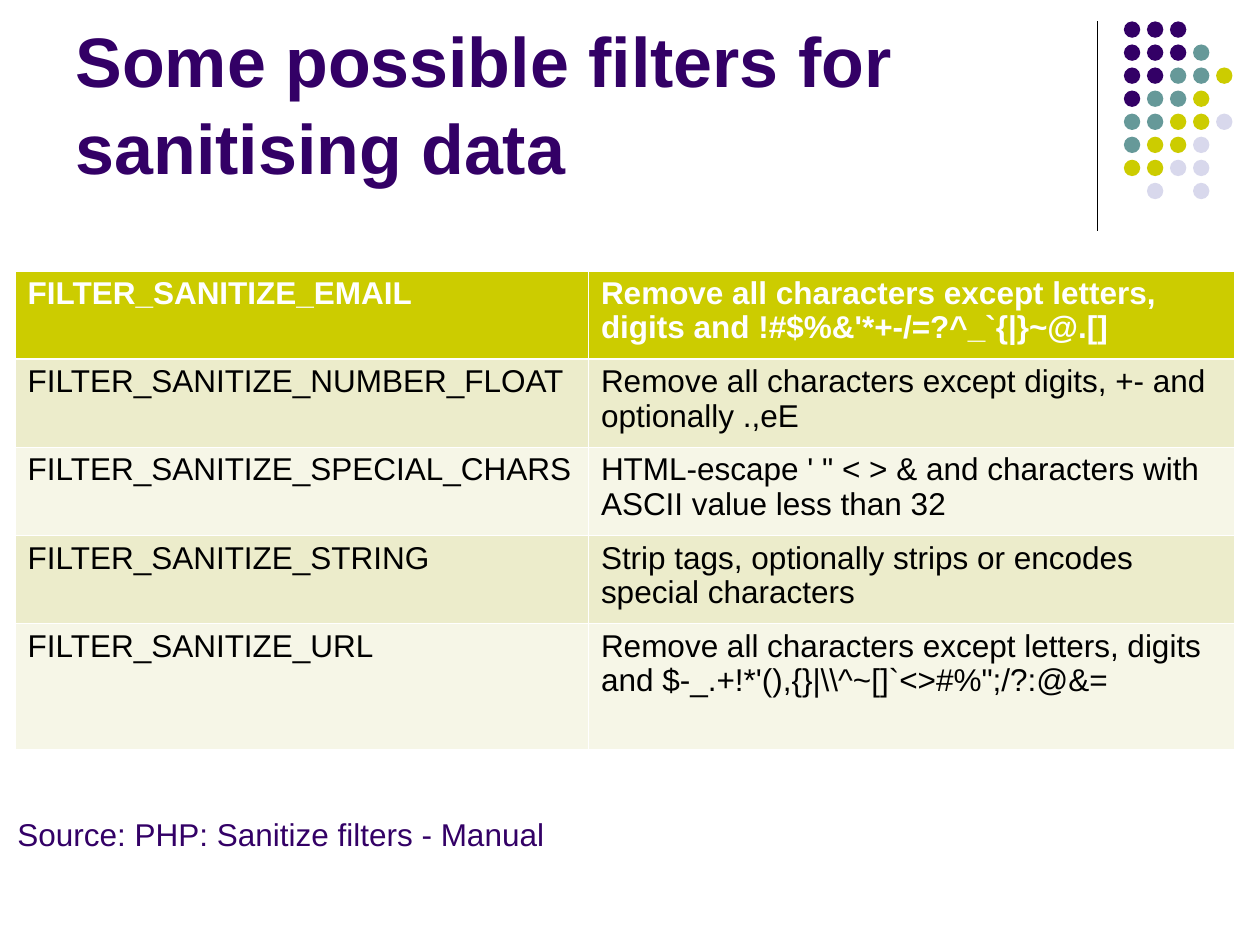
from lxml import etree
from pptx import Presentation
from pptx.dml.color import RGBColor
from pptx.enum.shapes import MSO_CONNECTOR, MSO_SHAPE
from pptx.enum.text import MSO_ANCHOR, PP_ALIGN
from pptx.oxml.ns import qn
from pptx.util import Inches, Pt

STRAIGHT = MSO_CONNECTOR.STRAIGHT
OVAL = MSO_SHAPE.OVAL
BOTTOM = MSO_ANCHOR.BOTTOM
LEFT = PP_ALIGN.LEFT

PURPLE, TEAL, OLIVE, LILAC = "330066", "669999", "CCCC00", "D8D8EC"
WHITE, BLACK = "FFFFFF", "000000"
BANDS = ["ECECCB", "F6F6E7"]

# One letter per dot, a space where the grid is empty
DOT_ROWS = ["PPP", "PPPT", "PPTTO", "PTTO", "TTOOL", "TOOL", "OOLL", " L L"]
DOT_COLOURS = {"P": PURPLE, "T": TEAL, "O": OLIVE, "L": LILAC}

FILTERS = [
    ("FILTER_SANITIZE_EMAIL",
     "Remove all characters except letters, digits and !#$%&'*+-/=?^_`{|}~@.[]"),
    ("FILTER_SANITIZE_NUMBER_FLOAT",
     "Remove all characters except digits, +- and optionally .,eE"),
    ("FILTER_SANITIZE_SPECIAL_CHARS",
     "HTML-escape ' \" < > & and characters with ASCII value less than 32"),
    ("FILTER_SANITIZE_STRING",
     "Strip tags, optionally strips or encodes special characters"),
    ("FILTER_SANITIZE_URL",
     "Remove all characters except letters, digits and "
     "$-_.+!*'(),{}|\\\\^~[]`<>#%\";/?:@&="),
]


def rgb(colour):
    return RGBColor.from_string(colour)


def format_text(frame, size, colour, bold=False, spacing=1.0):
    para = frame.paragraphs[0]
    para.alignment = LEFT
    para.line_spacing = spacing
    font = para.runs[0].font
    font.name = "Arial"
    font.size = Pt(size)
    font.bold = bold
    font.color.rgb = rgb(colour)


deck = Presentation()
deck.slide_width, deck.slide_height = Inches(10), Inches(7.5)
page = deck.slides.add_slide(deck.slide_layouts[5])

# Corner decoration: rule and dot grid
rule = page.shapes.add_connector(
    STRAIGHT, Inches(8.71), Inches(0.17), Inches(8.71), Inches(1.83))
rule.line.color.rgb = rgb(BLACK)
rule.line.width = Pt(0.75)
etree.SubElement(rule._element.spPr, qn("a:effectLst"))

dots = page.shapes.add_group_shape()
pitch = 0.183
for row, letters in enumerate(DOT_ROWS):
    for column, letter in enumerate(letters):
        if letter == " ":
            continue
        dot = dots.shapes.add_shape(
            OVAL, Inches(8.92 + column * pitch), Inches(0.17 + row * pitch),
            Inches(0.13), Inches(0.13))
        dot.shadow.inherit = False
        dot.fill.solid()
        dot.fill.fore_color.rgb = rgb(DOT_COLOURS[letter])
        dot.line.fill.background()

# Title
title = page.shapes.title
title.left, title.top = Inches(0.5), Inches(0.13)
title.width, title.height = Inches(8.25), Inches(1.42)
title.text_frame.text = "Some possible filters for sanitising data"
title.text_frame.vertical_anchor = BOTTOM
title.text_frame.word_wrap = True
format_text(title.text_frame, 40, PURPLE, bold=True, spacing=1.04)

# Filter table
table = page.shapes.add_table(
    len(FILTERS), 2, Inches(0.12), Inches(2.15), Inches(9.68), Inches(3.8)).table
for column, width in zip(table.columns, [4.55, 5.13]):
    column.width = Inches(width)
for row, height in zip(table.rows, [0.7, 0.7, 0.7, 0.7, 1]):
    row.height = Inches(height)

for row, texts in enumerate(FILTERS):
    header = row == 0
    for column, text in enumerate(texts):
        cell = table.cell(row, column)
        cell.text_frame.text = text
        format_text(cell.text_frame, 18, WHITE if header else BLACK,
                    bold=header, spacing=0.97)
        properties = cell._tc.get_or_add_tcPr()
        for side in "LRTB":
            under_header = (row, side) in [(0, "B"), (1, "T")]
            border = etree.SubElement(properties, qn(f"a:ln{side}"),
                                      w=str(Pt(1.47 if under_header else 0.45)))
            paint = etree.SubElement(border, qn("a:solidFill"))
            etree.SubElement(paint, qn("a:srgbClr"), val=WHITE)
        cell.fill.solid()
        cell.fill.fore_color.rgb = rgb(OLIVE if header else BANDS[(row - 1) % 2])

# Source note
source = page.shapes.add_textbox(
    Inches(0.04), Inches(6.42), Inches(4.41), Inches(0.4))
source.text_frame.word_wrap = True
source.text_frame.text = "Source: PHP: Sanitize filters - Manual"
format_text(source.text_frame, 18, PURPLE)

deck.save("out.pptx")
